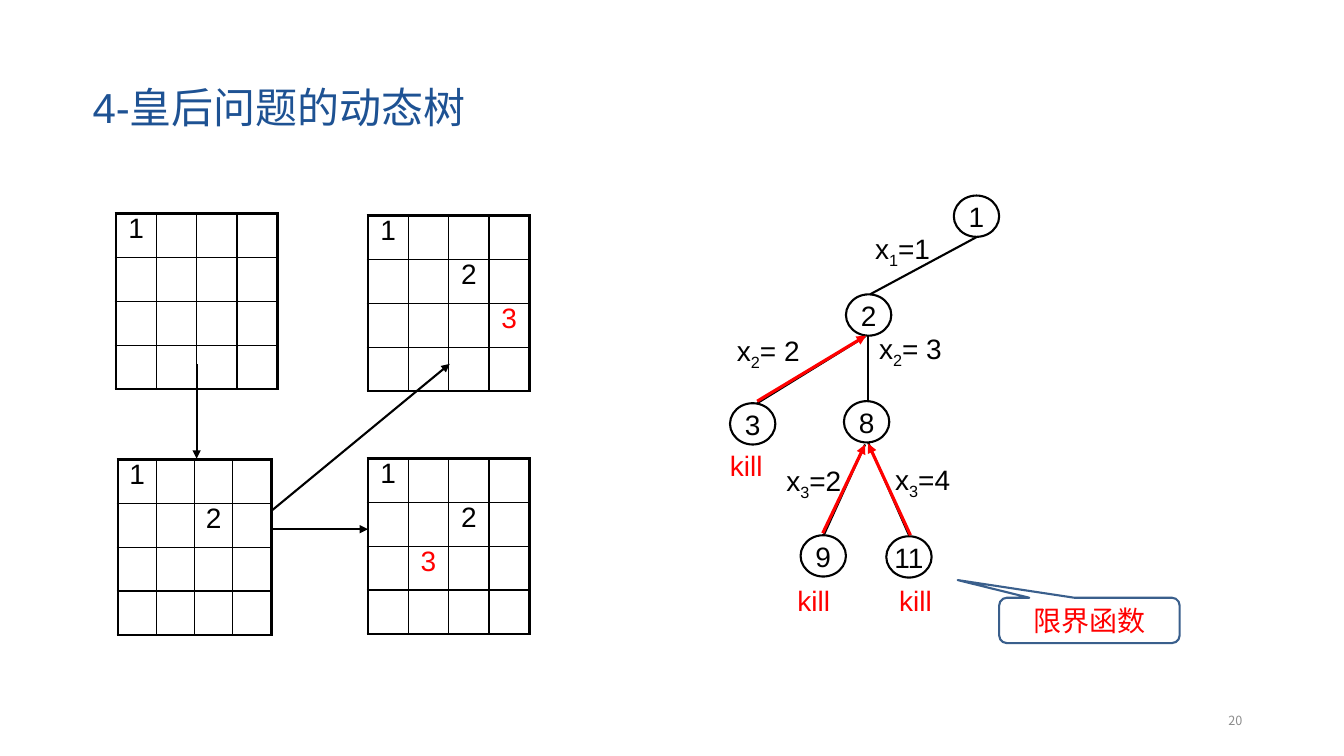
"""Build the slide on the dynamic tree of the 4-queens problem."""
from pptx import Presentation
from pptx.dml.color import RGBColor
from pptx.enum import shapes, text
from pptx.oxml import parse_xml
from pptx.oxml.ns import nsdecls
from pptx.util import Inches, Pt

BLACK = RGBColor(0x00, 0x00, 0x00)
RED = RGBColor(0xFF, 0x00, 0x00)
NAVY = RGBColor(0x1E, 0x52, 0x93)
STEEL = RGBColor(0x3A, 0x5F, 0x8C)
GRAY = RGBColor(0x8C, 0x8C, 0x8C)
WHITE = RGBColor(0xFF, 0xFF, 0xFF)
SANS = "Noto Sans CJK SC"
LEFT, MID, RIGHT = text.PP_ALIGN.LEFT, text.PP_ALIGN.CENTER, text.PP_ALIGN.RIGHT
SIDE = 4
ROW = 0.435


def style(para, color=BLACK, size=20, face="Arial", align=LEFT, gap=None):
    """Set the font, alignment and line spacing of a paragraph."""
    para.alignment = align
    para.line_spacing = gap
    font = para.font
    font.size, font.name, font.color.rgb = Pt(size), face, color
    font._element.append(parse_xml(f'<a:ea {nsdecls("a")} typeface="{SANS}"/>'))


def label(slide, box, words, anchor=text.MSO_ANCHOR.TOP, **look):
    """Add a text box and return its paragraph."""
    frame = slide.shapes.add_textbox(*map(Inches, box)).text_frame
    frame.word_wrap = True
    frame.vertical_anchor = anchor
    para = frame.paragraphs[0]
    para.add_run().text = words
    style(para, **look)
    return para


def move(slide, box, sub, value):
    """Label a tree edge with a subscripted variable and its value."""
    para = label(slide, box, "x")
    low = para.add_run()
    low.text = sub
    low._r.get_or_add_rPr().set("baseline", "-25000")
    para.add_run().text = value


def shape(slide, kind, box, words, line=BLACK, color=BLACK):
    """Add an outlined shape with centred text."""
    item = slide.shapes.add_shape(kind, *map(Inches, box))
    item.shadow.inherit = False
    item.fill.background()
    item.line.color.rgb, item.line.width = line, Pt(1.5)
    frame = item.text_frame
    frame.vertical_anchor = text.MSO_ANCHOR.MIDDLE
    frame.word_wrap = False
    frame.margin_left = frame.margin_right = 0
    frame.margin_top = frame.margin_bottom = 0
    para = frame.paragraphs[0]
    para.text = words
    style(para, color, align=MID)
    return item


def edge(slide, start, end, color=BLACK, width=1.5, arrow=False):
    """Draw a straight line, with an arrowhead at its end if asked."""
    line = slide.shapes.add_connector(
        shapes.MSO_CONNECTOR.STRAIGHT, *map(Inches, start + end))
    line.line.color.rgb, line.line.width = color, Pt(width)
    if arrow:
        line.line._get_or_add_ln().append(
            parse_xml(f'<a:tailEnd {nsdecls("a")} type="triangle"/>'))
    line._element.spPr.append(parse_xml(f'<a:effectLst {nsdecls("a")}/>'))


def border(cell, row, col):
    """Rule a cell, with a heavy line on the rim of the board."""
    rims = {"L": col == 0, "R": col == SIDE - 1,
            "T": row == 0, "B": row == SIDE - 1}
    for side, rim in rims.items():
        width = Pt(2.25 if rim else 1)
        cell._tc.get_or_add_tcPr().append(parse_xml(
            f'<a:ln{side} {nsdecls("a")} w="{width}"><a:solidFill>'
            f'<a:srgbClr val="{BLACK}"/></a:solidFill></a:ln{side}>'))


def board(slide, left, top, width, queens):
    """Add a chess board whose queens are keyed by row and column."""
    grid = slide.shapes.add_table(
        SIDE, SIDE, Inches(left), Inches(top),
        Inches(width), Inches(ROW * SIDE)).table
    grid.first_row = grid.horz_banding = False
    for row in range(SIDE):
        for col in range(SIDE):
            cell = grid.cell(row, col)
            border(cell, row, col)
            cell.fill.background()
            mark = queens.get((row, col))
            if mark:
                para = cell.text_frame.paragraphs[0]
                para.text = mark
                style(para, RED if mark == "3" else BLACK, align=MID, gap=0.8)


def tree(slide):
    """Draw the search tree with its killed branches."""
    for left, top, name in ((9.46, 1.94, "1"), (8.39, 2.92, "2"),
                            (7.24, 4, "3"), (8.37, 3.98, "8"),
                            (7.94, 5.31, "9"), (8.79, 5.32, "11")):
        shape(slide, shapes.MSO_SHAPE.OVAL, (left, top, 0.45, 0.41), name)
    for start, end in (((9.69, 2.35), (8.63, 2.92)), ((8.61, 3.33), (8.61, 3.98)),
                       ((8.58, 3.34), (7.51, 4)), ((8.58, 4.41), (8.17, 5.31)),
                       ((8.61, 4.39), (9.02, 5.32))):
        edge(slide, start, end)
    for start, end in (((7.51, 3.98), (8.59, 3.33)), ((8.16, 5.29), (8.58, 4.41)),
                       ((9.03, 5.31), (8.61, 4.4))):
        edge(slide, start, end, RED, 2.25, True)
    for left, top, sub, value in ((8.58, 2.25, "1", "=1"), (7.21, 3.26, "2", "= 2"),
                                  (8.62, 3.24, "2", "= 3"), (7.7, 4.55, "3", "=2"),
                                  (8.78, 4.54, "3", "=4")):
        move(slide, (left, top, 0.95, 0.42), sub, value)
    for left, top in ((7.14, 4.46), (7.81, 5.8), (8.82, 5.8)):
        label(slide, (left, top, 0.66, 0.35), "kill", color=RED, gap=0.8)


def main():
    """Build and save the slide."""
    deck = Presentation()
    deck.slide_width, deck.slide_height = Inches(13.33), Inches(7.5)
    slide = deck.slides.add_slide(deck.slide_layouts[6])
    middle = text.MSO_ANCHOR.MIDDLE
    label(slide, (0.82, 0.55, 9, 1.08), "4-皇后问题的动态树", middle,
          color=NAVY, size=30, gap=0.9)
    tree(slide)
    first, second = {(0, 0): "1"}, {(0, 0): "1", (1, 2): "2"}
    board(slide, 1.15, 2.12, 1.6, first)
    board(slide, 1.17, 4.56, 1.52, second)
    board(slide, 3.65, 2.14, 1.6, {**second, (2, 3): "3"})
    board(slide, 3.65, 4.55, 1.6, {**second, (2, 1): "3"})
    for start, end in (((1.95, 3.61), (1.95, 4.55)), ((2.69, 5.25), (3.65, 5.25)),
                       ((2.69, 5.07), (4.46, 3.61))):
        edge(slide, start, end, arrow=True)
    note = shape(slide, shapes.MSO_SHAPE.ROUNDED_RECTANGULAR_CALLOUT,
                 (9.91, 5.93, 1.79, 0.45), "限界函数", STEEL, RED)
    note.fill.solid()
    note.fill.fore_color.rgb = WHITE
    for spot, value in enumerate((-0.73, -0.89, 0.17)):
        note.adjustments[spot] = value
    label(slide, (9.42, 6.95, 3, 0.4), "20", middle,
          color=GRAY, size=9, face=SANS, align=RIGHT)
    deck.save("out.pptx")


if __name__ == "__main__":
    main()
